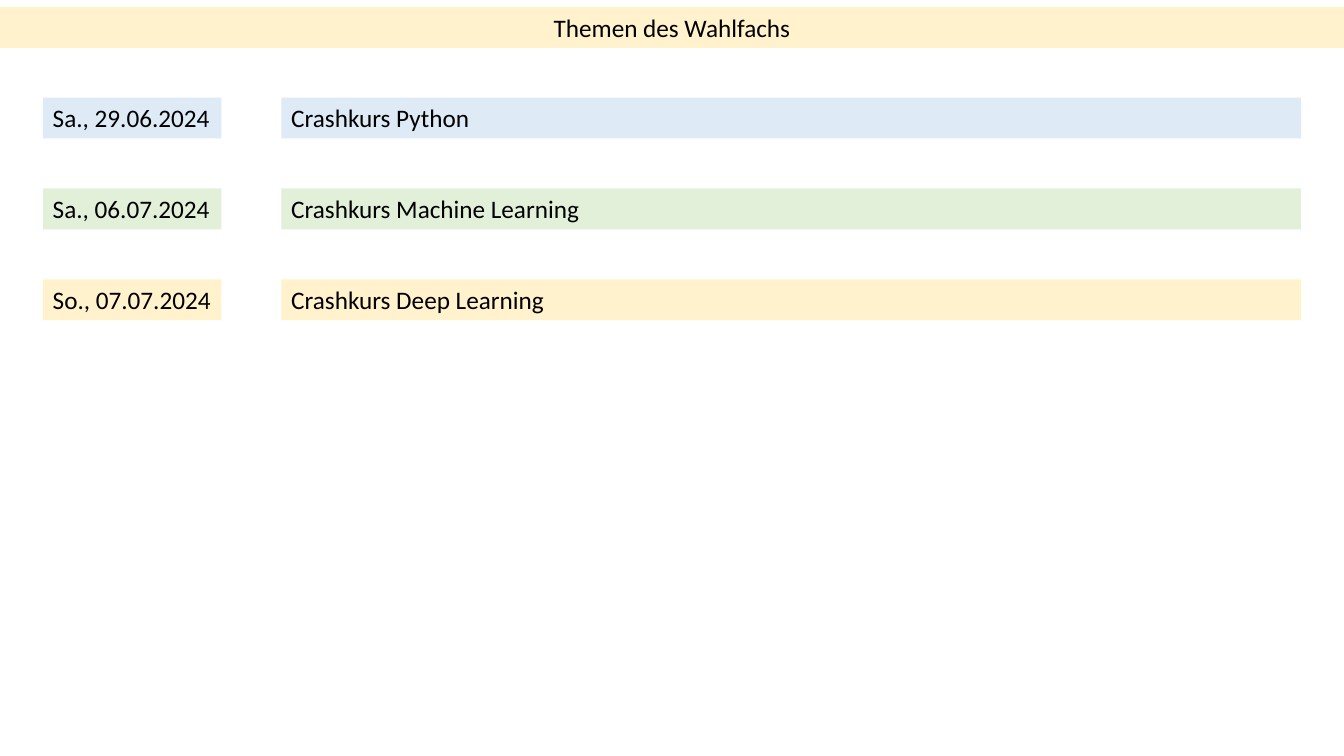
"""Build the slide that lists the dates and topics of an elective course."""
from pptx import Presentation
from pptx.dml.color import RGBColor
from pptx.enum.text import MSO_AUTO_SIZE, PP_ALIGN
from pptx.util import Cm, Pt

LEFT = PP_ALIGN.LEFT
CENTER = PP_ALIGN.CENTER
GROW = MSO_AUTO_SIZE.SHAPE_TO_FIT_TEXT

WIDTH, HEIGHT = 33.87, 19.05
TOP, PITCH = 2.46, 2.29
BLUE, GREEN, CREAM = "DEEBF7", "E2F0D9", "FFF2CC"

TOPICS = [
    ("Sa., 29.06.2024", "Crashkurs Python", BLUE),
    ("Sa., 06.07.2024", "Crashkurs Machine Learning", GREEN),
    ("So., 07.07.2024", "Crashkurs Deep Learning", CREAM),
]


def color(code):
    return RGBColor.from_string(code)


class Board:
    font = "Calibri"
    size = 18
    ink = "000000"
    bar = 1.03

    def __init__(self, slide):
        self.slide = slide

    def label(self, text, left, top, width, fill, align=LEFT, wrap=True):
        box = self.slide.shapes.add_textbox(
            Cm(left), Cm(top), Cm(width), Cm(self.bar))
        box.fill.solid()
        box.fill.fore_color.rgb = color(fill)
        frame = box.text_frame
        frame.text = text
        frame.word_wrap = wrap
        frame.auto_size = GROW
        para = frame.paragraphs[0]
        para.alignment = align
        font = para.runs[0].font
        font.name = self.font
        font.size = Pt(self.size)
        font.color.rgb = color(self.ink)


def main():
    deck = Presentation()
    deck.slide_width, deck.slide_height = Cm(WIDTH), Cm(HEIGHT)
    board = Board(deck.slides.add_slide(deck.slide_layouts[6]))
    board.label("Themen des Wahlfachs", 0, 0.18, WIDTH, CREAM, CENTER)
    for row, (date, topic, fill) in enumerate(TOPICS):
        top = TOP + row * PITCH
        board.label(date, 1.08, top, 4.5, fill, wrap=False)
        board.label(topic, 7.09, top, 25.7, fill)
    deck.save("out.pptx")


if __name__ == "__main__":
    main()
